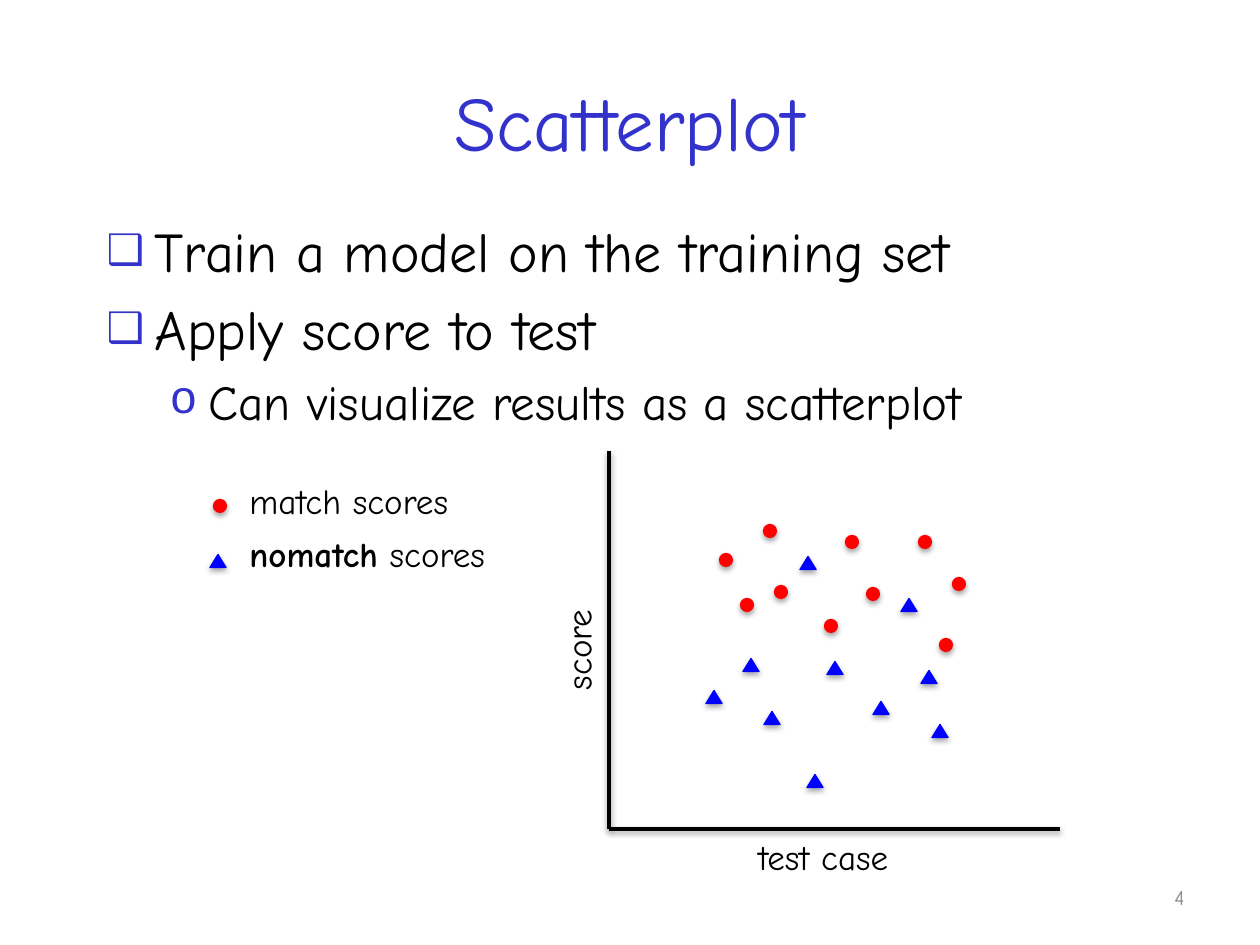
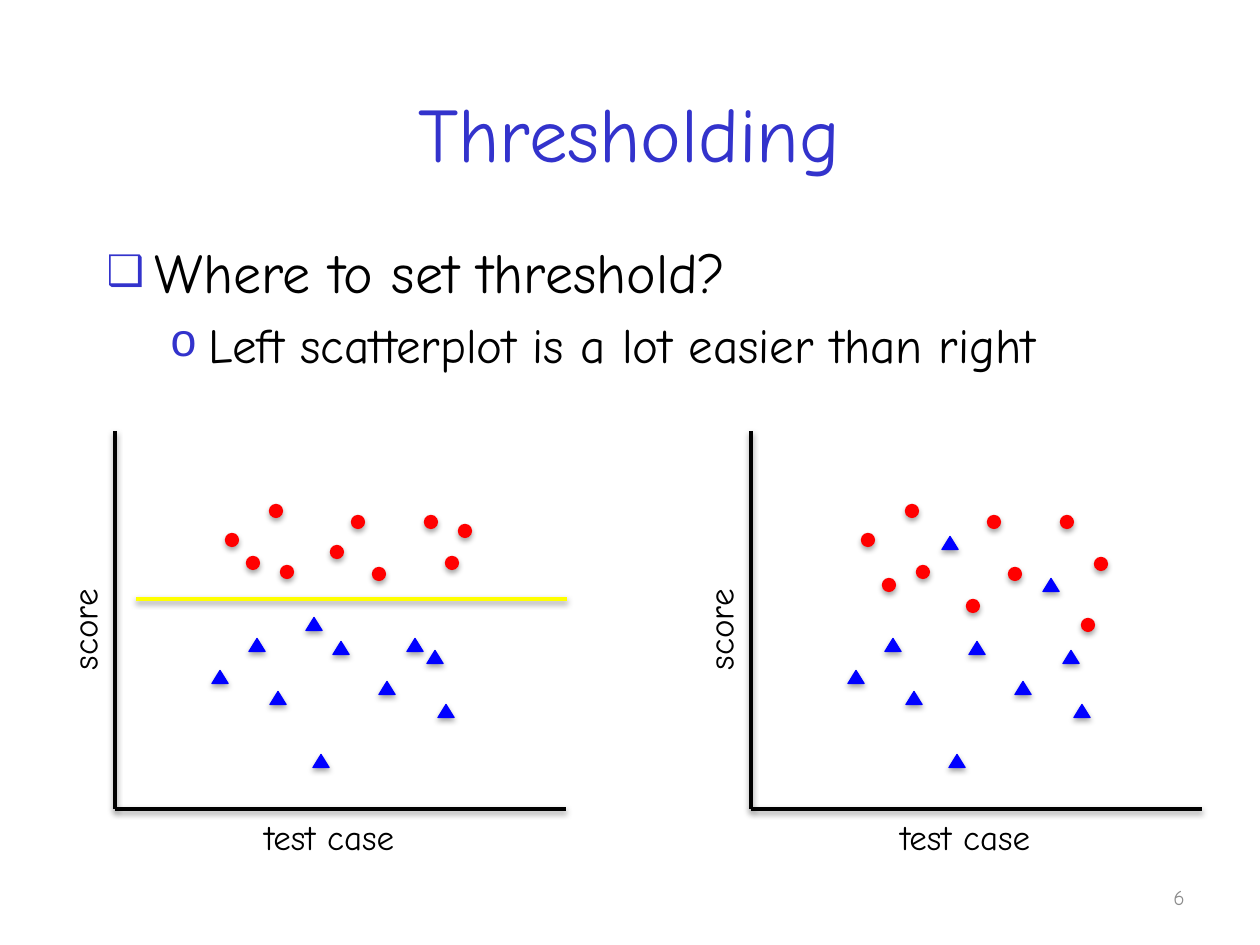
from lxml import etree
from pptx import Presentation
from pptx import util as u
from pptx.dml import color
from pptx.enum import shapes, text
from pptx.oxml import ns

FONT = "Comic Neue"
INK, BLUE, GREY = "000000", "3333CC", "8C8C8C"
RED, NAVY, GOLD = "FF0000", "0000FF", "FFFF00"
WIDE, TALL = 451, 378
BULLETS = [("❑", 75, 32, 48, -48, None), ("o", 95, 28, 102, -39, "Courier New")]

DOTS = [(161, 80), (117, 109), (172, 141), (243, 91), (316, 91), (264, 143)]
CONES = [(105, 246), (142, 214), (163, 267), (226, 217), (272, 257),
         (320, 226), (206, 330), (331, 280)]
MIXED = (DOTS + [(138, 154), (222, 175), (350, 133), (337, 194)],
         CONES + [(199, 112), (300, 154)])
APART = (DOTS + [(138, 132), (222, 121), (350, 100), (337, 132)],
         CONES + [(199, 193), (300, 214)])


def px(num):
    return u.Emu(round(num * 914400 / 126))


def rgb(code):
    return color.RGBColor.from_string(code)


def place(item, box):
    item.left, item.top, item.width, item.height = map(px, box)


def add_run(para, words, size, tint=INK, bold=None):
    run = para.add_run()
    run.text = words
    font = run.font
    font.name, font.size, font.bold = FONT, u.Pt(size), bold
    font.color.rgb = rgb(tint)


def sub(node, tag, **attrs):
    return etree.SubElement(node, ns.qn("a:" + tag), attrs)


def shade(item, alpha, drop):
    effects = sub(item.element.spPr, "effectLst")
    shadow = sub(effects, "outerShdw", blurRad="40000", dist=str(drop),
                 dir="5400000", rotWithShape="0")
    tint = sub(shadow, "srgbClr", val=INK)
    sub(tint, "alpha", val=str(alpha * 1000))


def add_title(slide, words, top):
    title = slide.shapes.title
    place(title, (94, top, 1071, 158))
    para = title.text_frame.paragraphs[0]
    para.alignment = text.PP_ALIGN.CENTER
    add_run(para, words, 44, BLUE)


def add_list(slide, box, items):
    body = slide.placeholders[1]
    place(body, box)
    frame = body.text_frame
    frame.auto_size = text.MSO_AUTO_SIZE.NONE
    for spot, (level, words) in enumerate(items):
        para = frame.add_paragraph() if spot else frame.paragraphs[0]
        para.level = level
        mark, scale, size, left, hang, face = BULLETS[level]
        props = para._p.get_or_add_pPr()
        props.set("marL", str(px(left)))
        props.set("indent", str(px(hang)))
        sub(sub(props, "buClr"), "srgbClr", val=BLUE)
        sub(props, "buSzPct", val=str(scale * 1000))
        if face:
            sub(props, "buFont", typeface=face)
        sub(props, "buChar", char=mark)
        add_run(para, words, size)


def add_label(slide, box, *runs, turn=0):
    label = slide.shapes.add_textbox(*map(px, box))
    label.rotation = turn
    frame = label.text_frame
    frame.word_wrap = False
    frame.auto_size = text.MSO_AUTO_SIZE.SHAPE_TO_FIT_TEXT
    for words, bold in runs:
        add_run(frame.paragraphs[0], words, 20, bold=bold)


def add_number(slide, words):
    frame = slide.shapes.add_textbox(*map(px, (903, 872, 294, 50))).text_frame
    frame.word_wrap = True
    frame.vertical_anchor = text.MSO_ANCHOR.MIDDLE
    para = frame.paragraphs[0]
    para.alignment = text.PP_ALIGN.RIGHT
    add_run(para, words, 12, GREY)


def add_line(slide, ends, tint=INK):
    line = slide.shapes.add_connector(shapes.MSO_CONNECTOR.STRAIGHT, *map(px, ends))
    line.line.color.rgb = rgb(tint)
    line.line.width = u.Pt(2)
    shade(line, 38, 20000)


def add_mark(slide, kind, mid, width, tint):
    x, y = mid
    mark = slide.shapes.add_shape(kind, px(x - width / 2), px(y - 6.5),
                                  px(width), px(13))
    mark.fill.solid()
    mark.fill.fore_color.rgb = rgb(tint)
    mark.line.color.rgb = rgb(tint)
    mark.line.width = u.Pt(0.75)
    shade(mark, 35, 23000)


def add_dot(slide, x, y):
    add_mark(slide, shapes.MSO_SHAPE.OVAL, (x, y), 13, RED)


def add_cone(slide, x, y):
    add_mark(slide, shapes.MSO_SHAPE.ISOSCELES_TRIANGLE, (x, y), 16, NAVY)


def add_plot(slide, left, top, points):
    base = top + TALL
    add_line(slide, (left, top, left, base))
    add_line(slide, (left, base, left + WIDE, base))
    add_label(slide, (left - 89, top + 166, 116, 55), ("score", None), turn=270)
    add_label(slide, (left + 137, base, 179, 55), ("test case", None))
    dots, cones = points
    for x, y in dots:
        add_dot(slide, left + x, top + y)
    for x, y in cones:
        add_cone(slide, left + x, top + y)


def add_key(slide):
    add_dot(slide, 220, 506)
    add_cone(slide, 218, 561)
    add_label(slide, (237, 473, 244, 55), ("match scores", None))
    add_label(slide, (237, 526, 281, 55), ("nomatch", True), (" scores", False))


def main():
    deck = Presentation()
    deck.slide_width, deck.slide_height = px(1260), px(945)
    layout = deck.slide_layouts[1]

    slide = deck.slides.add_slide(layout)
    add_title(slide, "Scatterplot", 42)
    add_list(slide, (94, 210, 1081, 231), [
        (0, "Train a model on the training set"),
        (0, "Apply score to test"),
        (1, "Can visualize results as a scatterplot")])
    add_number(slide, "4")
    add_plot(slide, 609, 451, MIXED)
    add_key(slide)

    slide = deck.slides.add_slide(layout)
    add_title(slide, "Thresholding", 53)
    add_list(slide, (94, 231, 1103, 609), [
        (0, "Where to set threshold?"),
        (1, "Left scatterplot is a lot easier than right")])
    add_number(slide, "6")
    add_plot(slide, 751, 431, MIXED)
    add_plot(slide, 115, 431, APART)
    add_line(slide, (136, 599, 567, 599), GOLD)

    deck.save("out.pptx")


main()
